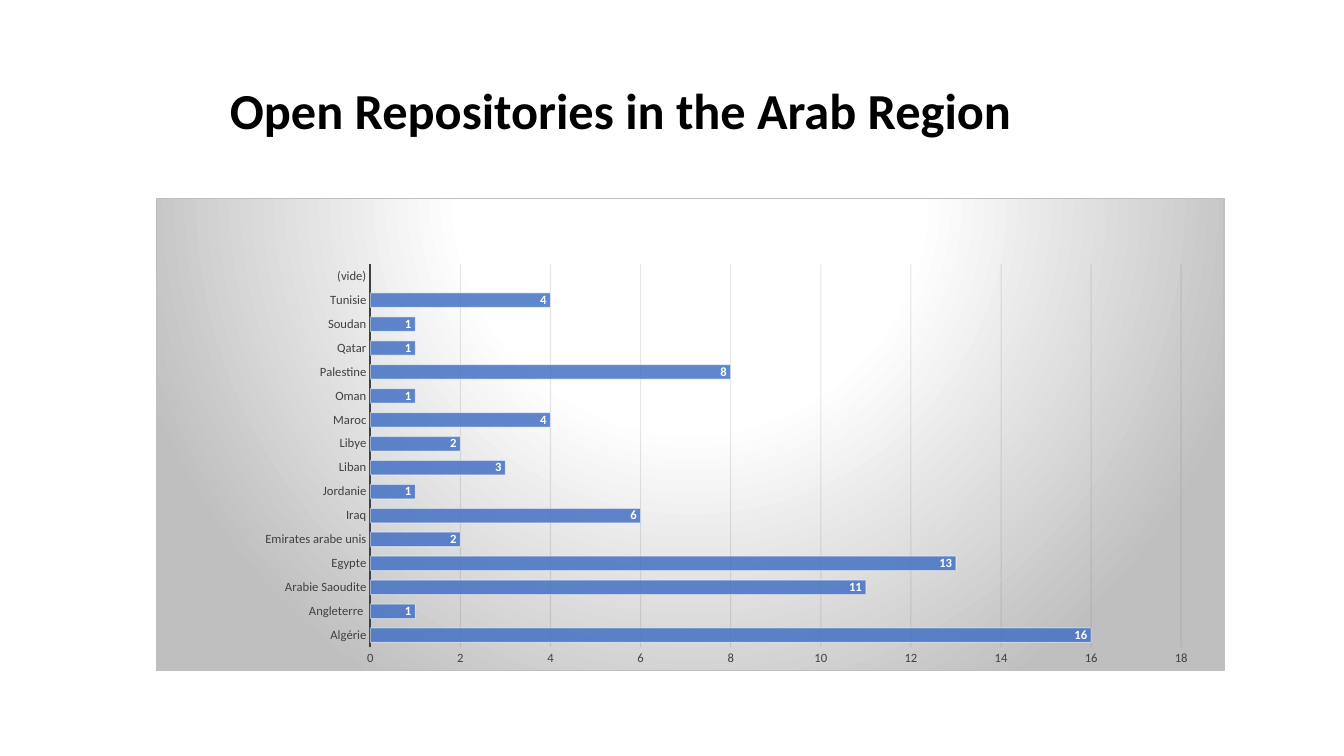
from lxml.etree import SubElement as Sub
from pptx import Presentation
from pptx.chart.data import CategoryChartData as Data
from pptx.dml.color import RGBColor
from pptx.enum.chart import XL_CHART_TYPE as Kind
from pptx.enum.chart import XL_LABEL_POSITION as Spot
from pptx.enum.chart import XL_TICK_MARK as Tick
from pptx.enum.text import MSO_ANCHOR as Anchor
from pptx.enum.text import MSO_AUTO_SIZE as Fit
from pptx.enum.text import PP_ALIGN as Align
from pptx.oxml import parse_xml
from pptx.oxml.ns import nsdecls, qn
from pptx.util import Cm, Pt

# Content
TITLE = "Open Repositories in the Arab Region"
COUNTS = [
    ("Algérie", 16), ("Angleterre ", 1), ("Arabie Saoudite", 11),
    ("Egypte", 13), ("Emirates arabe unis", 2), ("Iraq", 6),
    ("Jordanie", 1), ("Liban", 3), ("Libye", 2), ("Maroc", 4),
    ("Oman", 1), ("Palestine", 8), ("Qatar", 1), ("Soudan", 1),
    ("Tunisie", 4), ("(vide)", None),
]

# Look
FACE = "Calibri"
BLACK = RGBColor(0x00, 0x00, 0x00)
WHITE = RGBColor(0xFF, 0xFF, 0xFF)
DARK = RGBColor(0x40, 0x40, 0x40)
GRID = RGBColor(0x0D, 0x0D, 0x0D)
GREY = RGBColor(0xBF, 0xBF, 0xBF)
BLUE = RGBColor(0x44, 0x72, 0xC4)
STOPS = [(0, WHITE), (39, WHITE), (100, GREY)]
PLOT = {"x": 0.2, "y": 0.14, "w": 0.76, "h": 0.81}


def style(font, size, color, bold=False):
    font.name, font.size, font.bold = FACE, Pt(size), bold
    font.color.rgb = color


def write(frame, text, size=36, color=BLACK, bold=True, align=Align.LEFT):
    para = frame.paragraphs[0]
    para.alignment, para.line_spacing = align, 0.9
    run = para.add_run()
    run.text = text
    style(run.font, size, color, bold)


def stroke(line, color, width):
    line.color.rgb, line.width = color, Pt(width)


def fade(tone, share):
    Sub(tone, qn("a:alpha"), val=str(share * 1000))


# Slide and title
deck = Presentation()
deck.slide_width, deck.slide_height = Cm(33.87), Cm(19.05)
slide = deck.slides.add_slide(deck.slide_layouts[5])
title = slide.shapes.title
title.left, title.top = Cm(5.54), Cm(0.97)
title.width, title.height = Cm(20.35), Cm(2.69)
frame = title.text_frame
frame.auto_size, frame.word_wrap = Fit.NONE, True
frame.vertical_anchor = Anchor.BOTTOM
write(frame, TITLE)

# Chart
data = Data(number_format="General")
data.categories = [name for name, count in COUNTS]
data.add_series("Series 1", [count for name, count in COUNTS])
chart = slide.shapes.add_chart(
    Kind.BAR_CLUSTERED, Cm(3.94), Cm(4.98), Cm(26.92), Cm(11.94), data).chart
chart.has_title = chart.has_legend = False
style(chart.font, 10, BLACK)
root = chart.element if hasattr(chart, "element") else chart._chartSpace

# Axes
lands, scale = chart.category_axis, chart.value_axis
for axis in (lands, scale):
    axis.major_tick_mark = axis.minor_tick_mark = Tick.NONE
    style(axis.tick_labels.font, 9, DARK)
stroke(lands.format.line, DARK, 1.5)
scale.format.line.fill.background()
scale.minimum_scale, scale.maximum_scale, scale.major_unit = 0, 18, 2
stroke(scale.major_gridlines.format.line, GRID, 0.75)
fade(root.xpath(".//c:majorGridlines//a:srgbClr")[0], 10)

# Bars and labels
plot = chart.plots[0]
plot.gap_width, plot.vary_by_categories = 65, False
bars = plot.series[0]
bars.invert_if_negative = False
bars.format.fill.solid()
bars.format.fill.fore_color.rgb = BLUE
stroke(bars.format.line, WHITE, 0.75)
for tone, share in zip(root.xpath(".//c:ser/c:spPr//a:srgbClr"), (85, 50)):
    fade(tone, share)
labels = bars.data_labels
labels.show_value, labels.position = True, Spot.INSIDE_END
style(labels.font, 9, WHITE, True)

# Place of the plot
area = root.xpath("c:chart/c:plotArea")[0]
for old in area.findall(qn("c:layout")):
    area.remove(old)
modes = '<c:layoutTarget val="inner"/><c:xMode val="edge"/><c:yMode val="edge"/>'
sides = "".join(f'<c:{key} val="{part}"/>' for key, part in PLOT.items())
area.insert(0, parse_xml(
    f'<c:layout {nsdecls("c")}><c:manualLayout>{modes}{sides}'
    '</c:manualLayout></c:layout>'))

# Radial backdrop and border
stops = "".join(f'<a:gs pos="{at * 1000}"><a:srgbClr val="{tone}"/></a:gs>'
                for at, tone in STOPS)
root.xpath("c:chart")[0].addnext(parse_xml(
    f'<c:spPr {nsdecls("c", "a")}><a:gradFill><a:gsLst>{stops}</a:gsLst>'
    '<a:path path="circle">'
    '<a:fillToRect l="50000" t="-80000" r="50000" b="180000"/></a:path>'
    f'</a:gradFill><a:ln w="{Pt(0.75)}"><a:solidFill>'
    f'<a:srgbClr val="{GREY}"/></a:solidFill></a:ln></c:spPr>'))

deck.save("out.pptx")
